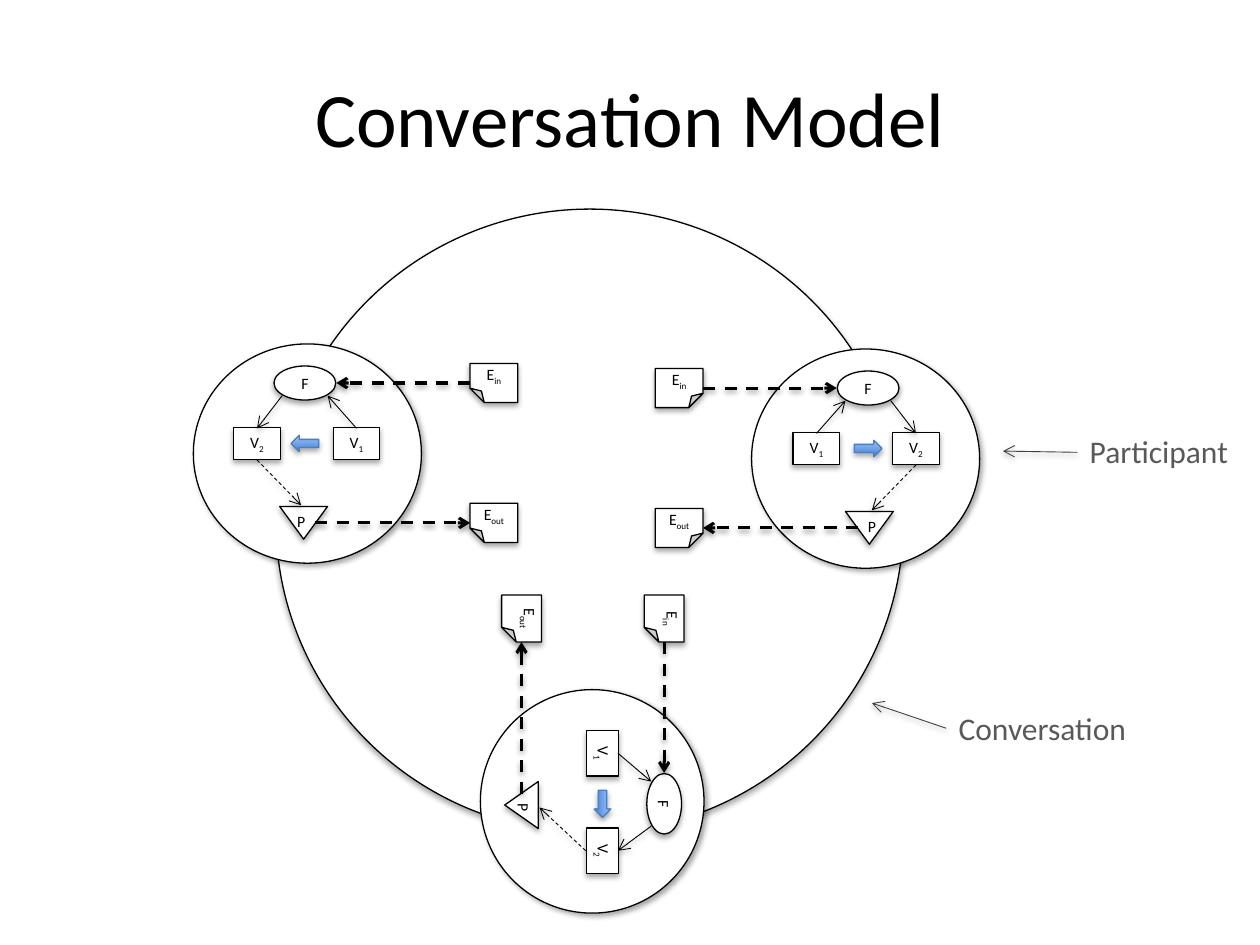
"""Build the Conversation Model slide: three participants around one conversation."""
from lxml import etree
from pptx import Presentation, util as u
from pptx.dml.color import RGBColor
from pptx.enum import dml, shapes, text
from pptx.oxml import parse_xml
from pptx.oxml.ns import qn

THEME = {
    "font": "Calibri", "title": 44, "label": 18, "small": 9,
    "ink": "000000", "paper": "FFFFFF", "muted": "595959", "pointer": "404040",
    "blue_line": "4B7EBC", "blue_dark": "3F80CE", "blue_light": "A4C4FF",
    "outline": 0.75, "thin": 0.5, "thick": 1.75,
}
KIND = shapes.MSO_SHAPE
TITLE = "Conversation Model"
CONVERSATION = (2.19, 1.66, 4.98, 4.95)

# name: preset, centre offset, size, text, subscript
PARTS = {
    "participant": (KIND.OVAL, (0, 0), (1.81, 1.74), "", ""),
    "view_1": (KIND.RECTANGLE, (-0.39, -0.08), (0.37, 0.25), "V", "1"),
    "view_2": (KIND.RECTANGLE, (0.4, -0.08), (0.37, 0.25), "V", "2"),
    "function": (KIND.OVAL, (0.02, -0.56), (0.49, 0.27), "F", ""),
    "flow": (KIND.RIGHT_ARROW, (0.02, -0.08), (0.22, 0.13), "", ""),
    "process": (KIND.ISOSCELES_TRIANGLE, (0.03, 0.55), (0.38, 0.26), "", ""),
    "event_out": (KIND.FOLDED_CORNER, (-1.48, 0.55), (0.38, 0.31), "E", "out"),
    "event_in": (KIND.FOLDED_CORNER, (-1.48, -0.56), (0.38, 0.31), "E", "in"),
}
PROCESS_LABEL = ("P", (0.05, 0.61), (0.22, 0.4))

# start, end, width, dashed, joined start part and site, joined end part and site
LINKS = [
    ((-0.39, -0.2), (-0.16, -0.46), "thin", False, ("view_1", 0), None),
    ((0.2, -0.46), (0.4, -0.2), "thin", False, None, ("view_2", 0)),
    ((0.4, 0.05), (0.05, 0.41), "thin", True, ("view_2", 2), None),
    ((-1.29, -0.56), (-0.23, -0.56), "thick", True, ("event_in", 3), None),
    ((-0.06, 0.55), (-1.29, 0.55), "thick", True, None, ("event_out", 3)),
]

# centre, mirrored, rotation, scale along and across
PARTICIPANTS = [
    ((6.87, 3.64), False, 0, (1, 1)),
    ((2.44, 3.6), True, 0, (1, 1)),
    ((4.7, 6.36), False, 90, (0.98, 1.02)),
]

# text, box, wrap, pointer start, pointer end
LABELS = [
    ("Participant", (8.55, 3.38, 1.31, 0.4), False, (8.55, 3.59), (7.96, 3.58)),
    ("Conversation", (7.51, 5.58, 1.59, 0.4), True, (7.51, 5.78), (6.92, 5.58)),
]


def color(name):
    return RGBColor.from_string(THEME[name])


def inches(values):
    return [u.Inches(value) for value in values]


def add_run(paragraph, content, size, ink="ink", subscript=False):
    run = paragraph.add_run()
    run.text = content
    run.font.name = THEME["font"]
    run.font.size = u.Pt(THEME[size])
    run.font.color.rgb = color(ink)
    if subscript:
        run.font._element.set("baseline", "-25000")


def add_part(target, preset, box, content="", subscript=""):
    shape = target.add_shape(preset, *inches(box))
    shape.line.color.rgb = color("ink")
    shape.line.width = u.Pt(THEME["outline"])
    shape.fill.solid()
    shape.fill.fore_color.rgb = color("paper")
    if preset == KIND.FOLDED_CORNER:
        guides = shape._element.spPr.find(qn("a:prstGeom")).find(qn("a:avLst"))
        etree.SubElement(guides, qn("a:gd"), name="adj", fmla="val 36700")
    if preset == KIND.RIGHT_ARROW:
        shape.line.color.rgb = color("blue_line")
        shape.fill.gradient()
        shape.fill.gradient_angle = 90
        for stop, name in zip(shape.fill.gradient_stops, ("blue_dark", "blue_light")):
            stop.color.rgb = color(name)
    if content:
        center_text(shape, content, subscript, text.MSO_ANCHOR.MIDDLE, 0)
    return shape


def center_text(shape, content, subscript, anchor, top):
    frame = shape.text_frame
    frame.word_wrap = True
    frame.vertical_anchor = anchor
    frame.margin_left = frame.margin_right = frame.margin_bottom = 0
    frame.margin_top = u.Inches(top)
    paragraph = frame.paragraphs[0]
    paragraph.alignment = text.PP_ALIGN.CENTER
    add_run(paragraph, content, "small")
    if subscript:
        add_run(paragraph, subscript, "small", subscript=True)


def slant_shadow(shape):
    namespace = "http://schemas.openxmlformats.org/drawingml/2006/main"
    shape._element.spPr.append(parse_xml(
        f'<a:effectLst xmlns:a="{namespace}"><a:outerShdw blurRad="40000" dist="23000" '
        'dir="2880000" rotWithShape="0"><a:srgbClr val="000000"><a:alpha val="35000"/>'
        '</a:srgbClr></a:outerShdw></a:effectLst>'))


def add_arrow(target, start, end, width, dashed=False, ink="ink", begin=None, finish=None):
    ends = inches((*start, *end))
    arrow = target.add_connector(shapes.MSO_CONNECTOR.STRAIGHT, *ends)
    if begin:
        arrow.begin_connect(*begin)
    if finish:
        arrow.end_connect(*finish)
    arrow.begin_x, arrow.begin_y, arrow.end_x, arrow.end_y = ends
    arrow.line.color.rgb = color(ink)
    arrow.line.width = u.Pt(THEME[width])
    if dashed:
        arrow.line.dash_style = dml.MSO_LINE.DASH
    etree.SubElement(arrow.line._get_or_add_ln(), qn("a:tailEnd"), type="arrow")


def add_participant(slide, center, mirrored, rotation, scale):
    group = slide.shapes.add_group_shape().shapes

    def place(point):
        along, across = point[0] * scale[0], point[1] * scale[1]
        if mirrored:
            along = -along
        if rotation:
            along, across = -across, along
        return center[0] + along, center[1] + across

    def box_of(offset, size):
        x, y = place(offset)
        width, height = size[0] * scale[0], size[1] * scale[1]
        return x - width / 2, y - height / 2, width, height

    parts = {}
    for name, (preset, offset, size, content, subscript) in PARTS.items():
        shape = add_part(group, preset, box_of(offset, size), content, subscript)
        shape.rotation = rotation
        transform = shape._element.spPr.find(qn("a:xfrm"))
        if mirrored:
            transform.set("flipH", "1")
        if name == "process":
            transform.set("flipV", "1")
        parts[name] = shape
    slant_shadow(parts["participant"])

    content, offset, size = PROCESS_LABEL
    label = group.add_textbox(*inches(box_of(offset, size)))
    label.rotation = rotation
    center_text(label, content, "", text.MSO_ANCHOR.TOP, 0.05)

    for start, end, width, dashed, *joins in LINKS:
        begin, finish = [join and (parts[join[0]], join[1]) for join in joins]
        add_arrow(group, place(start), place(end), width, dashed, begin=begin, finish=finish)


def main():
    presentation = Presentation()
    presentation.slide_width, presentation.slide_height = inches((10, 7.5))
    slide = presentation.slides.add_slide(presentation.slide_layouts[5])
    title = slide.shapes.title
    title.left, title.top, title.width, title.height = inches((0.5, 0.3, 9, 1.25))
    title.text_frame.vertical_anchor = text.MSO_ANCHOR.MIDDLE
    title.text_frame.paragraphs[0].alignment = text.PP_ALIGN.CENTER
    add_run(title.text_frame.paragraphs[0], TITLE, "title")

    add_part(slide.shapes, KIND.OVAL, CONVERSATION)
    for participant in PARTICIPANTS:
        add_participant(slide, *participant)
    for content, box, wrap, start, end in LABELS:
        label = slide.shapes.add_textbox(*inches(box))
        label.text_frame.word_wrap = wrap
        add_run(label.text_frame.paragraphs[0], content, "label", "muted")
        add_arrow(slide.shapes, start, end, "thin", ink="pointer")
    presentation.save("out.pptx")


if __name__ == "__main__":
    main()
